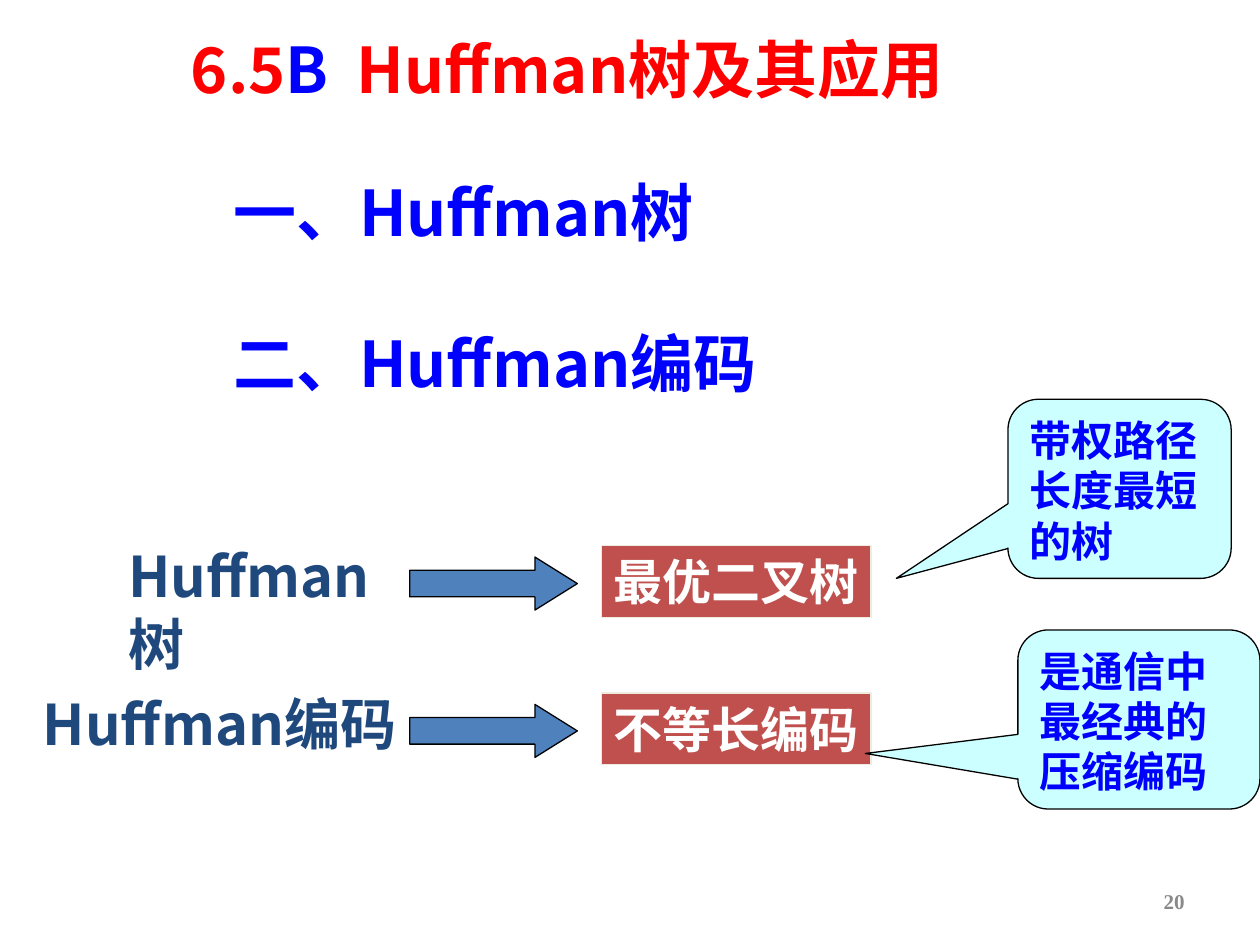
from lxml.etree import SubElement
from pptx import Presentation
from pptx.dml.color import RGBColor
from pptx.enum.shapes import MSO_SHAPE
from pptx.enum.text import MSO_ANCHOR, PP_ALIGN
from pptx.oxml.ns import qn
from pptx.util import Cm, Pt

RED = RGBColor(0xFF, 0x00, 0x00)
BLUE = RGBColor(0x00, 0x00, 0xFF)
NAVY = RGBColor(0x1F, 0x49, 0x7D)
STEEL = RGBColor(0x4F, 0x81, 0xBD)
BRICK = RGBColor(0xC0, 0x50, 0x4D)
CREAM = RGBColor(0xEE, 0xEC, 0xE1)
AQUA = RGBColor(0xCC, 0xFF, 0xFF)
GREY = RGBColor(0x89, 0x89, 0x89)
WHITE = RGBColor(0xFF, 0xFF, 0xFF)
BLACK = RGBColor(0x00, 0x00, 0x00)
SANS = "Noto Sans CJK SC"
SERIF = "Times New Roman"


def add_run(para, text, size, color, face=SANS):
    run = para.add_run()
    run.text = text
    font = run.font
    font.size, font.bold, font.name = Pt(size), True, face
    font.color.rgb = color
    SubElement(run._r.get_or_add_rPr(), qn("a:ea"), typeface=face)
    return run


def add_text(slide, box, wrap=True, align=PP_ALIGN.LEFT, anchor=MSO_ANCHOR.TOP):
    frame = slide.shapes.add_textbox(*map(Cm, box)).text_frame
    frame.word_wrap = wrap
    frame.vertical_anchor = anchor
    frame.paragraphs[0].alignment = align
    return frame


def add_form(slide, kind, box, fill, line=BLACK, adjust=()):
    form = slide.shapes.add_shape(kind, *map(Cm, box))
    form.shadow.inherit = False
    form.fill.solid()
    form.fill.fore_color.rgb = fill
    form.line.color.rgb = line
    form.line.width = Pt(0.75)
    for index, value in enumerate(adjust):
        form.adjustments[index] = value
    return form


def add_label(form, text, size, color, wrap=True):
    frame = form.text_frame
    frame.word_wrap = wrap
    frame.vertical_anchor = MSO_ANCHOR.TOP
    para = frame.paragraphs[0]
    para.alignment = PP_ALIGN.LEFT
    add_run(para, text, size, color)


def add_title(slide):
    frame = add_text(slide, (0.64, 0.48, 21.59, 1.78),
                     align=PP_ALIGN.CENTER, anchor=MSO_ANCHOR.MIDDLE)
    para = frame.paragraphs[0]
    add_run(para, "6.5", 36, RED)
    letter = add_run(para, "B", 36, BLUE)
    letter._r.get_or_add_rPr().set("spc", "800")
    add_run(para, " Huffman树及其应用", 36, RED)


def add_topics(slide):
    frame = add_text(slide, (4.45, 3.38, 16.08, 4.83))
    add_run(frame.paragraphs[0], "一、Huffman树", 36, BLUE)
    para = frame.add_paragraph()
    para.space_before = Pt(43)
    add_run(para, "二、Huffman编码", 36, BLUE)


def add_row(slide, top, term, box, wrap, meaning):
    frame = add_text(slide, box, wrap)
    add_run(frame.paragraphs[0], term, 32, NAVY)
    add_form(slide, MSO_SHAPE.RIGHT_ARROW, (8.26, top + 0.23, 3.38, 1.07),
             STEEL, adjust=(0.5, 0.8))
    form = add_form(slide, MSO_SHAPE.RECTANGLE, (12.12, top, 5.44, 1.45), BRICK, CREAM)
    add_label(form, meaning, 28, WHITE, wrap=False)


def add_note(slide, box, tip, text):
    form = add_form(slide, MSO_SHAPE.ROUNDED_RECTANGULAR_CALLOUT, box, AQUA,
                    adjust=(*tip, 0.17))
    add_label(form, text, 24, BLUE)


def add_number(slide):
    frame = add_text(slide, (18.21, 17.65, 5.92, 1.02),
                     align=PP_ALIGN.RIGHT, anchor=MSO_ANCHOR.MIDDLE)
    add_run(frame.paragraphs[0], "20", 12, GREY, SERIF)


def main():
    """Build the slide on Huffman trees and codes."""
    deck = Presentation()
    deck.slide_width, deck.slide_height = Cm(25.4), Cm(19.05)
    slide = deck.slides.add_slide(deck.slide_layouts[6])
    add_title(slide)
    add_topics(slide)
    add_row(slide, 11, "Huffman树", (2.34, 10.8, 6.45, 2.97), True, "最优二叉树")
    add_row(slide, 13.97, "Huffman编码", (0.61, 13.77, 8.05, 1.63), False, "不等长编码")
    add_note(slide, (20.32, 8.05, 4.5, 3.61), (-1, 0.5), "带权路径长度最短的树")
    add_note(slide, (20.52, 12.7, 4.88, 3.61), (-1.13, 0.19), "是通信中最经典的压缩编码")
    add_number(slide)
    deck.save("out.pptx")


if __name__ == "__main__":
    main()
